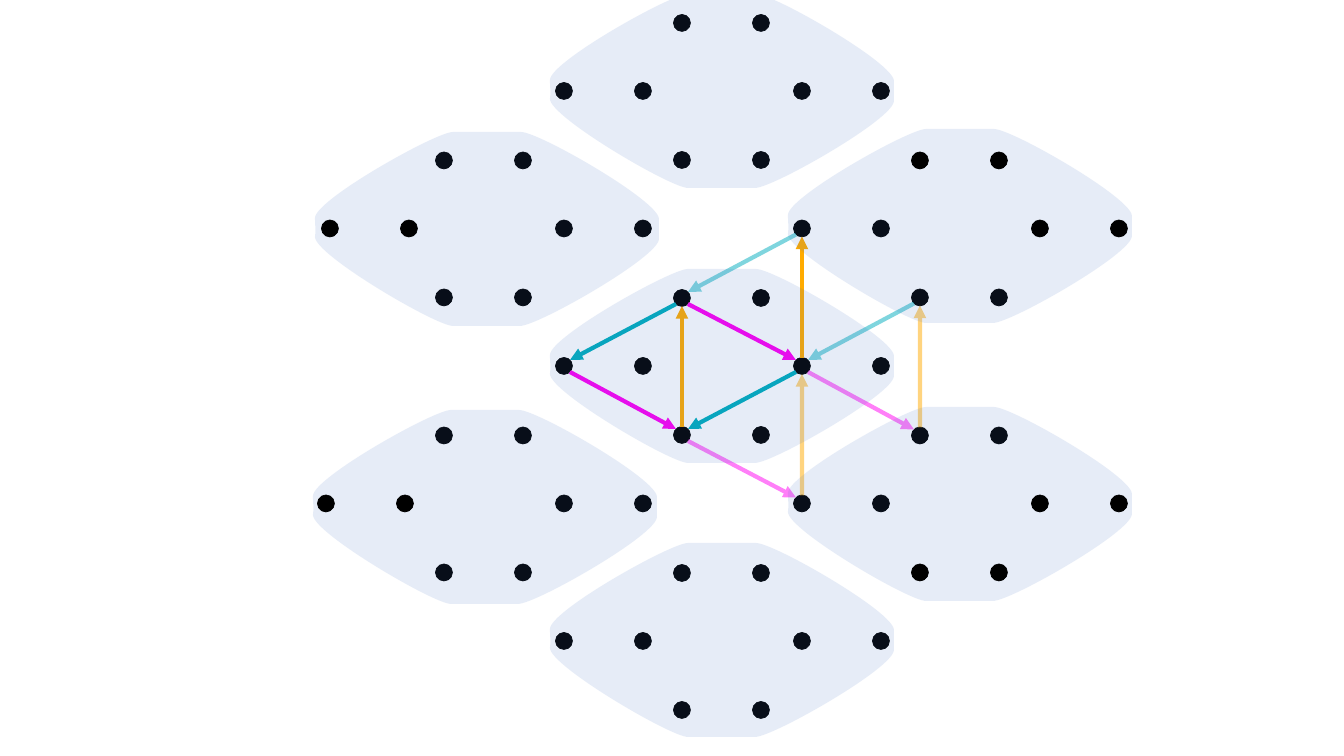
from lxml import etree
from pptx import Presentation
from pptx.dml.color import RGBColor
from pptx.enum.shapes import MSO_CONNECTOR, MSO_SHAPE
from pptx.oxml.ns import qn
from pptx.util import Pt

ELLIPSE = MSO_SHAPE.OVAL
STRAIGHT = MSO_CONNECTOR.STRAIGHT

EMU_PER_PX = 914400 / 100.8
SLIDE_W, SLIDE_H = 1344, 756
DOT = 17
BLACK, CELL_BLUE = "000000", "4472C4"
PINK, TEAL, ORANGE = "FF00F3", "00ADBE", "FFAB00"

# Cells sit on a lattice around the central one
CENTRE_X, CENTRE_Y = 722, 366
COLUMN_STEP, ROW_STEP = 238, 275 / 2

# name: (column, row, outline left, outline top, dots in front of the cell)
CELLS = {
    "upper left": (-1, -1, 315, 132, ("far left", "left")),
    "lower left": (-1, 1, 313, 410, ("far left", "left")),
    "upper right": (1, -1, 788, 129, ("right", "far right", "top left", "top right")),
    "lower right": (1, 1, 788, 407, ("right", "far right", "bottom left", "bottom right")),
    "top": (0, -2, 550, -6, ()),
    "bottom": (0, 2, 550, 543, ()),
    "centre": (0, 0, 550, 269, ()),
}

# Dot offsets from the centre of a cell
DOTS = {
    "far left": (-158, 0), "left": (-79, 0),
    "right": (80, 0), "far right": (159, 0),
    "top left": (-40, -68), "top right": (39, -68),
    "bottom left": (-40, 69), "bottom right": (39, 69),
}
NUDGES = {("upper left", "far left"): 4, ("upper left", "left"): 4}

# Cell outline: one point is a line, three points are a Bezier curve
OUTLINE_START = (0, 86)
OUTLINE = [
    [(0, 68), (121, 0), (138, 0)],
    [(206, 0)],
    [(224, 0), (344, 69), (344, 87)],
    [(344, 107)],
    [(344, 125), (223, 194), (205, 194)],
    [(138, 194)],
    [(121, 194), (0, 123), (0, 105)],
    [(1, 96), (0, 95), OUTLINE_START],
]

WEST = ("centre", "far left")
NORTH = ("centre", "top left")
SOUTH = ("centre", "bottom left")
EAST = ("centre", "right")
ABOVE = ("upper right", "far left")
BELOW = ("lower right", "far left")
FAR_NORTH = ("upper right", "bottom left")
FAR_SOUTH = ("lower right", "top left")

# (from, to, colour, opacity in percent)
ARROWS = [
    (WEST, SOUTH, PINK, 100),
    (NORTH, WEST, TEAL, 100),
    (SOUTH, NORTH, ORANGE, 100),
    (ABOVE, NORTH, TEAL, 50),
    (NORTH, EAST, PINK, 100),
    (EAST, SOUTH, TEAL, 100),
    (EAST, ABOVE, ORANGE, 100),
    (BELOW, EAST, ORANGE, 50),
    (SOUTH, BELOW, PINK, 50),
    (EAST, FAR_SOUTH, PINK, 50),
    (FAR_NORTH, EAST, TEAL, 50),
    (FAR_SOUTH, FAR_NORTH, ORANGE, 50),
]


def px(n):
    return round(n * EMU_PER_PX)


def rgb(hex_colour):
    return RGBColor.from_string(hex_colour)


def set_opacity(element, percent):
    """Make the solid colour inside element partly transparent."""
    colour = next(element.iter(qn("a:srgbClr")))
    etree.SubElement(colour, qn("a:alpha"), val=str(percent * 1000))


def dot_centre(cell, dot):
    column, row = CELLS[cell][:2]
    dx, dy = DOTS[dot]
    return (CENTRE_X + column * COLUMN_STEP + dx + NUDGES.get((cell, dot), 0),
            CENTRE_Y + row * ROW_STEP + dy)


def add_dots(shapes, in_front):
    for cell, (*_, front_dots) in CELLS.items():
        for dot in DOTS:
            if (dot in front_dots) != in_front:
                continue
            x, y = dot_centre(cell, dot)
            s = shapes.add_shape(ELLIPSE, px(x - DOT / 2), px(y - DOT / 2), px(DOT), px(DOT))
            s.shadow.inherit = False
            s.fill.solid()
            s.fill.fore_color.rgb = rgb(BLACK)
            s.line.color.rgb = rgb(BLACK)
            s.line.width = Pt(0.5)


def sign(n):
    return (n > 0) - (n < 0)


def add_arrow(shapes, start, end, colour, opacity):
    """Join two dots, leaving and arriving at their rims."""
    x1, y1 = dot_centre(*start)
    x2, y2 = dot_centre(*end)
    gap = 6 if x1 != x2 else 8
    dx, dy = gap * sign(x2 - x1), gap * sign(y2 - y1)
    c = shapes.add_connector(STRAIGHT, px(x1 + dx), px(y1 + dy), px(x2 - dx), px(y2 - dy))
    c.line.color.rgb = rgb(colour)
    c.line.width = Pt(3)
    ln = c.line._get_or_add_ln()
    if opacity < 100:
        set_opacity(ln, opacity)
    etree.SubElement(ln, qn("a:tailEnd"), type="triangle")
    etree.SubElement(c._element.spPr, qn("a:effectLst"))


def curve_outline(s):
    """Turn the straight segments of a cell into the curves of OUTLINE."""
    for line, points in zip(list(s._element.iter(qn("a:lnTo"))), OUTLINE):
        if len(points) == 3:
            curve = etree.Element(qn("a:cubicBezTo"))
            for x, y in points:
                etree.SubElement(curve, qn("a:pt"), x=str(x), y=str(y))
            line.getparent().replace(line, curve)


def add_cell(shapes, left, top):
    builder = shapes.build_freeform(*OUTLINE_START, scale=EMU_PER_PX)
    builder.add_line_segments([points[-1] for points in OUTLINE], close=True)
    s = builder.convert_to_shape(px(left), px(top))
    curve_outline(s)
    s.shadow.inherit = False
    s.fill.solid()
    s.fill.fore_color.rgb = rgb(CELL_BLUE)
    set_opacity(s._element.spPr, 13)
    s.line.fill.background()


def main():
    prs = Presentation()
    prs.slide_width, prs.slide_height = px(SLIDE_W), px(SLIDE_H)
    shapes = prs.slides.add_slide(prs.slide_layouts[6]).shapes
    add_dots(shapes, in_front=False)
    for arrow in ARROWS:
        add_arrow(shapes, *arrow)
    for _, _, left, top, _ in CELLS.values():
        add_cell(shapes, left, top)
    add_dots(shapes, in_front=True)
    prs.save("out.pptx")


if __name__ == "__main__":
    main()
